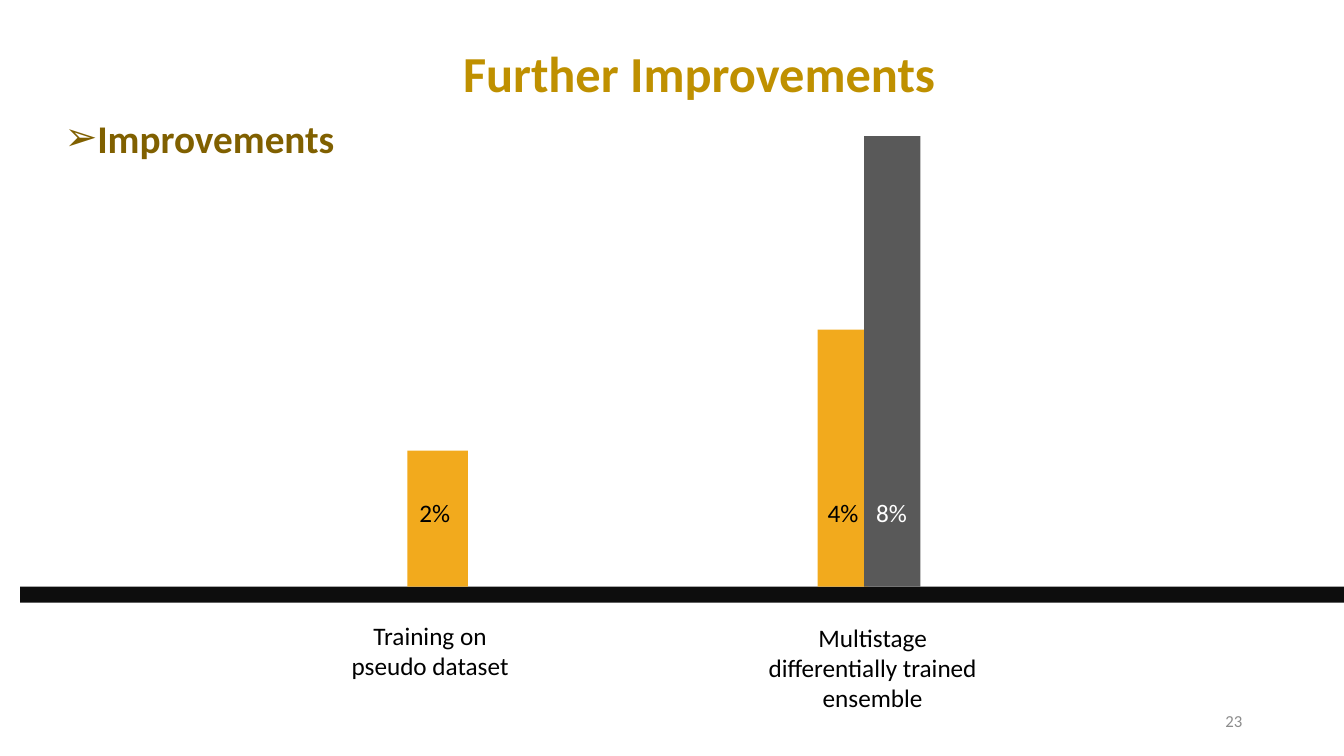
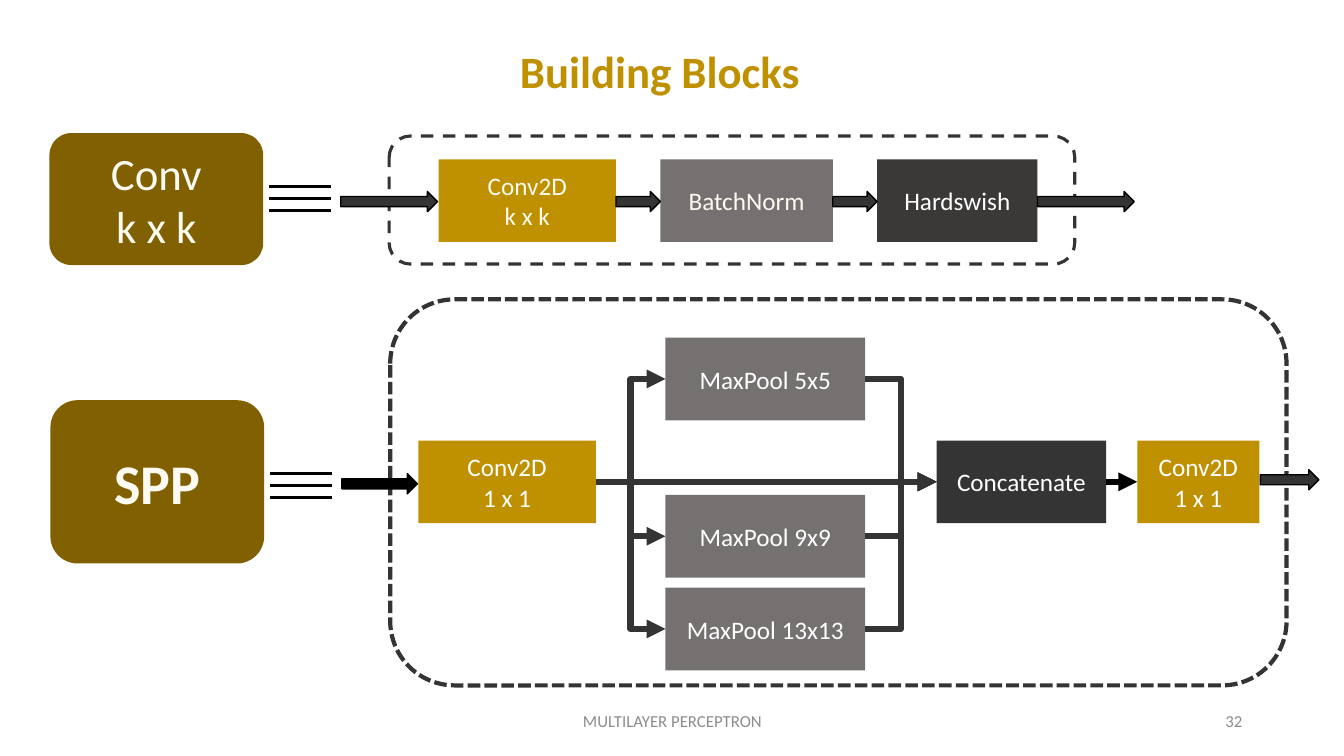
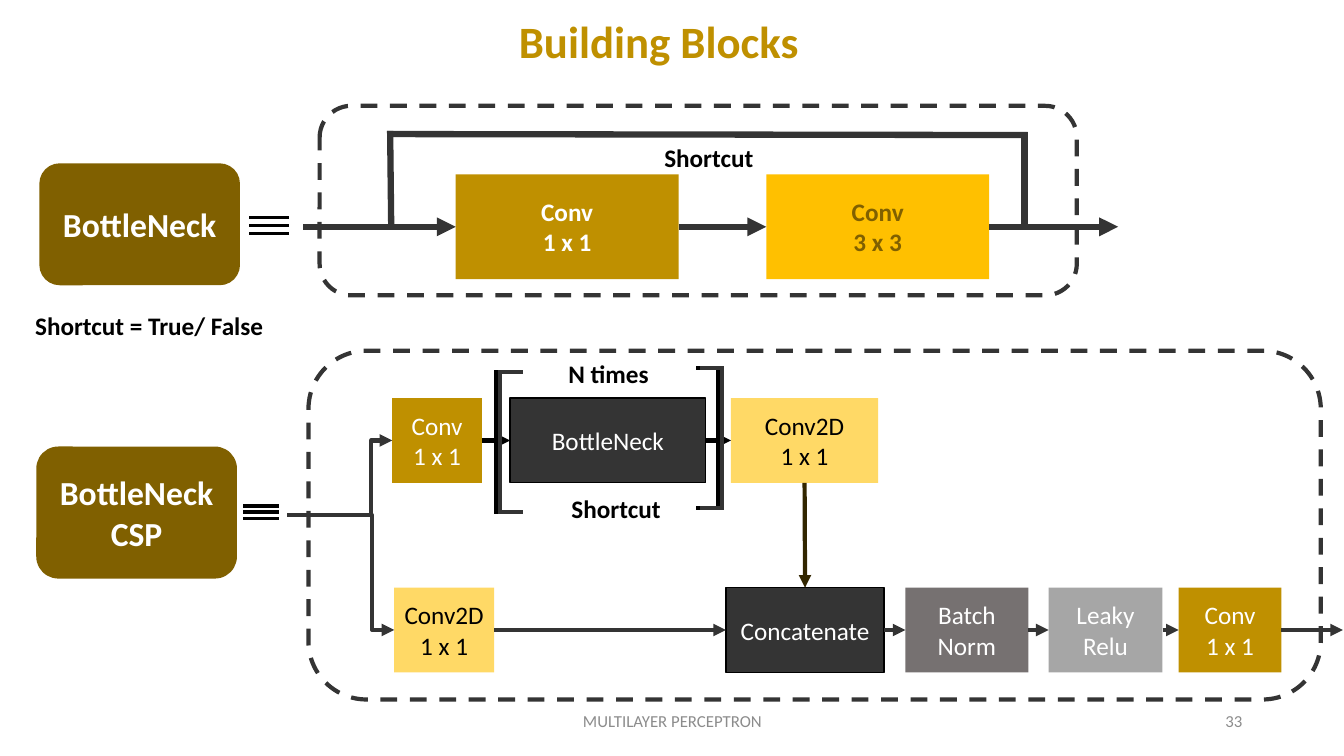
from lxml.etree import SubElement
from pptx import Presentation
from pptx.dml.color import RGBColor
from pptx.enum.dml import MSO_LINE
from pptx.enum.shapes import MSO_CONNECTOR as LINK, MSO_SHAPE as SHAPE
from pptx.enum.text import MSO_ANCHOR as ANCHOR, MSO_AUTO_SIZE as AUTO, PP_ALIGN as ALIGN
from pptx.oxml.ns import qn
from pptx.util import Inches, Pt

FONT = "Calibri"
GOLD, BROWN, AMBER = "BF9000", "806000", "F2AA1D"
YELLOW, SAND = "FFC000", "FFD966"
BLACK, CHARCOAL, STONE, SILVER = "000000", "343434", "767171", "A6A6A6"
WHITE, CREAM, MUTED = "FFFFFF", "FCFAF1", "8C8C8C"
RIGHT, LEFT, BOTTOM, TOP = 3, 1, 2, 0


def rgb(value):
    """Turn a hex string into a colour."""
    return RGBColor.from_string(value)


def place(shape, left, top, width, height):
    """Move and size a shape, in inches."""
    shape.left, shape.top = Inches(left), Inches(top)
    shape.width, shape.height = Inches(width), Inches(height)


def write(frame, text, size, color, bold=False, align=ALIGN.CENTER, anchor=ANCHOR.TOP):
    """Fill a text frame with one paragraph per line of text."""
    frame.text = text
    frame.word_wrap = True
    frame.auto_size = AUTO.NONE
    frame.vertical_anchor = anchor
    for para in frame.paragraphs:
        para.alignment = align
        para.space_before = Pt(0)
        para.font.name = FONT
        para.font.size = Pt(size)
        para.font.bold = bold
        para.font.color.rgb = rgb(color)


def add_page(deck, layout, title, left, top, width, size=32):
    """Add a slide with its title."""
    page = deck.slides.add_slide(deck.slide_layouts[layout])
    place(page.shapes.title, left, top, width, 0.71)
    write(page.shapes.title.text_frame, title, size, GOLD, bold=True)
    return page


def add_bullet(page, text):
    """Put an arrow-bulleted heading in the body placeholder."""
    body = page.placeholders[1]
    place(body, 0.54, 1.08, 12.25, 0.98)
    body.text_frame.text = text
    props = body.text_frame.paragraphs[0]._p.get_or_add_pPr()
    props.set("marL", str(Inches(0.31)))
    props.set("indent", str(-Inches(0.31)))
    SubElement(SubElement(props, qn("a:buClr")), qn("a:srgbClr"), val=BROWN)
    SubElement(props, qn("a:buChar"), char="➢")
    frame = body.text_frame
    frame.auto_size = AUTO.NONE
    frame.vertical_anchor = ANCHOR.TOP
    para = frame.paragraphs[0]
    para.alignment = ALIGN.LEFT
    para.space_before = Pt(0)
    para.font.name = FONT
    para.font.size = Pt(28)
    para.font.bold = True
    para.font.color.rgb = rgb(BROWN)


def add_label(page, text, left, top, width, height=0.4, size=18, color=BLACK, **style):
    """Add a text box."""
    box = page.shapes.add_textbox(Inches(left), Inches(top), Inches(width), Inches(height))
    write(box.text_frame, text, size, color, **style)


def add_footer(page, number, text=None):
    """Add the slide number and, if given, the footer text."""
    add_label(page, number, 9.42, 6.95, 3, size=12, color=MUTED,
              align=ALIGN.RIGHT, anchor=ANCHOR.MIDDLE)
    if text:
        add_label(page, text, 4.42, 6.95, 4.5, size=12, color=MUTED, anchor=ANCHOR.MIDDLE)


def add_box(page, left, top, width, height, fill=None, text="", color=WHITE, size=18,
            bold=False, line=None, weight=1, dash=None, kind=SHAPE.RECTANGLE):
    """Add a preset shape with optional fill, outline and centred text."""
    box = page.shapes.add_shape(kind, Inches(left), Inches(top), Inches(width), Inches(height))
    box.shadow.inherit = False
    if fill:
        box.fill.solid()
        box.fill.fore_color.rgb = rgb(fill)
    else:
        box.fill.background()
    if line:
        box.line.color.rgb = rgb(line)
        box.line.width = Pt(weight)
        box.line.dash_style = dash
    else:
        box.line.fill.background()
    if text:
        box.text_frame.margin_left = box.text_frame.margin_right = Inches(0.05)
        write(box.text_frame, text, size, color, bold, anchor=ANCHOR.MIDDLE)
    return box


def add_badge(page, text, left, top, width, height, **style):
    """Add the rounded name plate of a building block."""
    add_box(page, left, top, width, height, BROWN, text, kind=SHAPE.ROUNDED_RECTANGLE, **style)


def add_block_arrow(page, left, top, width, fill=CHARCOAL):
    """Add a thick outlined arrow pointing right."""
    add_box(page, left, top, width, 0.2, fill, line=BLACK, kind=SHAPE.RIGHT_ARROW)


def spot(target):
    """Give the position of a point or of a box corner."""
    if isinstance(target, tuple):
        return Inches(target[0]), Inches(target[1])
    return target.left, target.top


def connect(page, start, end, color=CHARCOAL, weight=3.0, head=True,
            kind=LINK.STRAIGHT, sides=(RIGHT, LEFT)):
    """Draw a line between two points or boxes, joining it to the boxes."""
    line = page.shapes.add_connector(kind, *spot(start), *spot(end))
    if not isinstance(start, tuple):
        line.begin_connect(start, sides[0])
    if not isinstance(end, tuple):
        line.end_connect(end, sides[1])
    line.line.color.rgb = rgb(color)
    line.line.width = Pt(weight)
    props = line._element.spPr
    if head:
        SubElement(props.find(qn("a:ln")), qn("a:tailEnd"), type="triangle")
    else:
        props.find(qn("a:ln")).set("cap", "sq")
    SubElement(props, qn("a:effectLst"))


def add_polyline(page, points, color, weight):
    """Draw plain lines through a list of points."""
    for start, end in zip(points, points[1:]):
        connect(page, start, end, color, weight, head=False)


def add_equivalence(page, left, top, width, gap):
    """Draw three stacked bars that mean equivalent."""
    for row in range(3):
        level = round(top + row * gap, 2)
        add_polyline(page, [(left, level), (left + width, level)], BLACK, 2.25)


def add_bracket(page, spine, tip, top):
    """Draw a square bracket as a black line with a grey line beside it."""
    for shift, color in ((0, BLACK), (0.04, CHARCOAL)):
        x, end = spine + shift, tip + shift
        points = [(end, top), (x, top), (x, top + 1.39), (end, top + 1.39)]
        add_polyline(page, points, color, 3)


def build_improvements(deck):
    """Build the slide with the bars of gains."""
    page = add_page(deck, 1, "Further Improvements", 4.3, 0.37, 5.27, size=36)
    add_bullet(page, "Improvements")
    base = 5.82
    add_box(page, 0.2, base, 13.13, 0.16, "0D0D0D")
    bars = [
        (4.04, 0.6, 1.35, AMBER, "2%", 4.06, BLACK),
        (8.11, 0.5, 2.55, AMBER, "4%", 8.11, BLACK),
        (8.57, 0.56, 4.47, "595959", "8%", 8.59, WHITE),
    ]
    for left, width, height, fill, *_ in bars:
        add_box(page, left, base - height, width, height, fill)
    for *_, text, left, color in bars:
        add_label(page, text, left, 4.88, 0.52, color=color, align=ALIGN.LEFT)
    add_label(page, "Training on pseudo dataset", 3.34, 6.1, 1.85, 0.71)
    add_label(page, "Multistage differentially trained ensemble", 7.43, 6.12, 2.45, 1.01)
    add_footer(page, "23")


def build_conv_and_spp(deck):
    """Build the slide with the Conv and SPP blocks."""
    page = add_page(deck, 5, "Building Blocks", 1.99, 0.38, 9.11)
    add_box(page, 3.86, 1.35, 6.8, 1.27, line=CHARCOAL, weight=2.25, dash=MSO_LINE.DASH,
            kind=SHAPE.FLOWCHART_ALTERNATE_PROCESS)
    add_box(page, 3.87, 2.97, 8.89, 3.83, line=CHARCOAL, weight=3,
            dash=MSO_LINE.SQUARE_DOT, kind=SHAPE.ROUNDED_RECTANGLE)
    add_badge(page, "Conv\nk x k", 0.49, 1.32, 2.12, 1.31, size=32, color=CREAM)
    add_badge(page, "SPP", 0.5, 3.97, 2.12, 1.62, size=40, bold=True, color=CREAM)
    add_equivalence(page, 2.68, 1.85, 0.59, 0.12)
    add_equivalence(page, 2.69, 4.7, 0.59, 0.12)

    height = 0.82
    for text, left, width, fill, color in (
        ("Conv2D\nk x k", 4.35, 1.76, GOLD, CREAM),
        ("BatchNorm", 6.55, 1.71, STONE, CREAM),
        ("Hardswish", 8.7, 1.59, "3B3838", WHITE),
    ):
        add_box(page, left, 1.58, width, height, fill, text, color)
    for left, width in ((3.38, 0.96), (6.11, 0.44), (8.26, 0.44), (10.29, 0.96)):
        add_block_arrow(page, left, 1.9, width)

    conv, concat, output = [
        add_box(page, left, 4.37, width, height, fill, text)
        for text, left, width, fill in (
            ("Conv2D\n1 x 1", 4.15, 1.76, GOLD),
            ("Concatenate", 9.29, 1.68, CHARCOAL),
            ("Conv2D\n1 x 1", 11.28, 1.21, GOLD),
        )
    ]
    for text, top in (("MaxPool 5x5", 3.35), ("MaxPool 9x9", 4.91), ("MaxPool 13x13", 5.83)):
        pool = add_box(page, 6.6, top, 1.98, height, STONE, text)
        connect(page, conv, pool, weight=4.5, kind=LINK.ELBOW)
        connect(page, pool, concat, weight=4.5, kind=LINK.ELBOW)
    connect(page, conv, concat, weight=4.5)
    connect(page, concat, output, BLACK, 4.5)
    add_block_arrow(page, 3.39, 4.7, 0.75, BLACK)
    add_block_arrow(page, 12.5, 4.66, 0.58)
    add_footer(page, "32", "MULTILAYER PERCEPTRON")


def build_bottleneck(page):
    """Draw the BottleNeck block with its shortcut."""
    add_box(page, 3.17, 1.05, 7.51, 1.88, line=CHARCOAL, weight=3, dash=MSO_LINE.DASH,
            kind=SHAPE.ROUNDED_RECTANGLE)
    add_badge(page, "BottleNeck", 0.39, 1.62, 1.99, 1.21, size=24, bold=True)
    add_equivalence(page, 2.49, 2.16, 0.36, 0.08)
    first = add_box(page, 4.52, 1.73, 2.21, 1.04, GOLD, "Conv\n1 x 1", bold=True)
    second = add_box(page, 7.6, 1.73, 2.21, 1.04, YELLOW, "Conv\n3 x 3", BROWN, bold=True)
    for start, end in (((3.01, 2.25), first), (first, second), (second, (11.09, 2.25))):
        connect(page, start, end, weight=4.5)
    loop = [(3.88, 2.23), (3.87, 1.33), (10.16, 1.34), (10.16, 2.23)]
    add_polyline(page, loop, CHARCOAL, 4.5)
    add_label(page, "Shortcut", 6.49, 1.36, 1.09, bold=True, align=ALIGN.LEFT)
    add_label(page, "Shortcut = True/ False", 0.25, 3.03, 2.49, bold=True, align=ALIGN.LEFT)


def build_bottleneck_csp(page):
    """Draw the BottleNeck CSP block with its two branches."""
    add_box(page, 3.06, 3.48, 10.04, 3.46, line=CHARCOAL, weight=3, dash=MSO_LINE.DASH,
            kind=SHAPE.FLOWCHART_ALTERNATE_PROCESS)
    add_badge(page, "BottleNeck\nCSP", 0.36, 4.43, 1.99, 1.31, size=24, bold=True)
    add_equivalence(page, 2.43, 5.02, 0.32, 0.06)

    height = 0.84
    upper = [
        add_box(page, left, 3.95, width, height, fill, text, color, line=line)
        for text, left, width, fill, color, line in (
            ("Conv\n1 x 1", 3.89, 0.89, GOLD, WHITE, None),
            ("BottleNeck", 5.06, 1.94, CHARCOAL, WHITE, BLACK),
            ("Conv2D\n1 x 1", 7.25, 1.46, SAND, BLACK, None),
        )
    ]
    lower = [
        add_box(page, left, 5.83, width, height, fill, text, color, line=line)
        for text, left, width, fill, color, line in (
            ("Conv2D\n1 x 1", 3.91, 0.99, SAND, BLACK, None),
            ("Concatenate", 7.2, 1.57, CHARCOAL, WHITE, BLACK),
            ("Batch\nNorm", 8.98, 1.22, STONE, WHITE, None),
            ("Leaky\nRelu", 10.4, 1.13, SILVER, WHITE, None),
            ("Conv\n1 x 1", 11.69, 1.02, GOLD, WHITE, None),
        )
    ]
    for start, end in zip(upper, upper[1:]):
        connect(page, start, end, BLACK)
    for start, end in zip(lower, lower[1:] + [(13.32, 6.25)]):
        connect(page, start, end)
    connect(page, upper[-1], lower[1], "322600", sides=(BOTTOM, TOP))

    fork = (3.47, 5.11)
    add_polyline(page, [(2.87, 5.11), fork], CHARCOAL, 3)
    for branch in (upper[0], lower[0]):
        connect(page, fork, branch, kind=LINK.ELBOW)

    add_bracket(page, 4.92, 5.13, 3.69)
    add_bracket(page, 7.12, 6.92, 3.65)
    add_label(page, "N times", 5.54, 3.51, 1.3, bold=True, align=ALIGN.LEFT)
    add_label(page, "Shortcut", 5.57, 4.84, 1.24, bold=True, align=ALIGN.LEFT)


def build_bottlenecks(deck):
    """Build the slide with the two BottleNeck blocks."""
    page = add_page(deck, 5, "Building Blocks", 1.98, 0.09, 9.11)
    build_bottleneck(page)
    build_bottleneck_csp(page)
    add_footer(page, "33", "MULTILAYER PERCEPTRON")


def main():
    """Build and save the deck."""
    deck = Presentation()
    deck.slide_width, deck.slide_height = Inches(13.33), Inches(7.5)
    build_improvements(deck)
    build_conv_and_spp(deck)
    build_bottlenecks(deck)
    deck.save("out.pptx")


if __name__ == "__main__":
    main()
